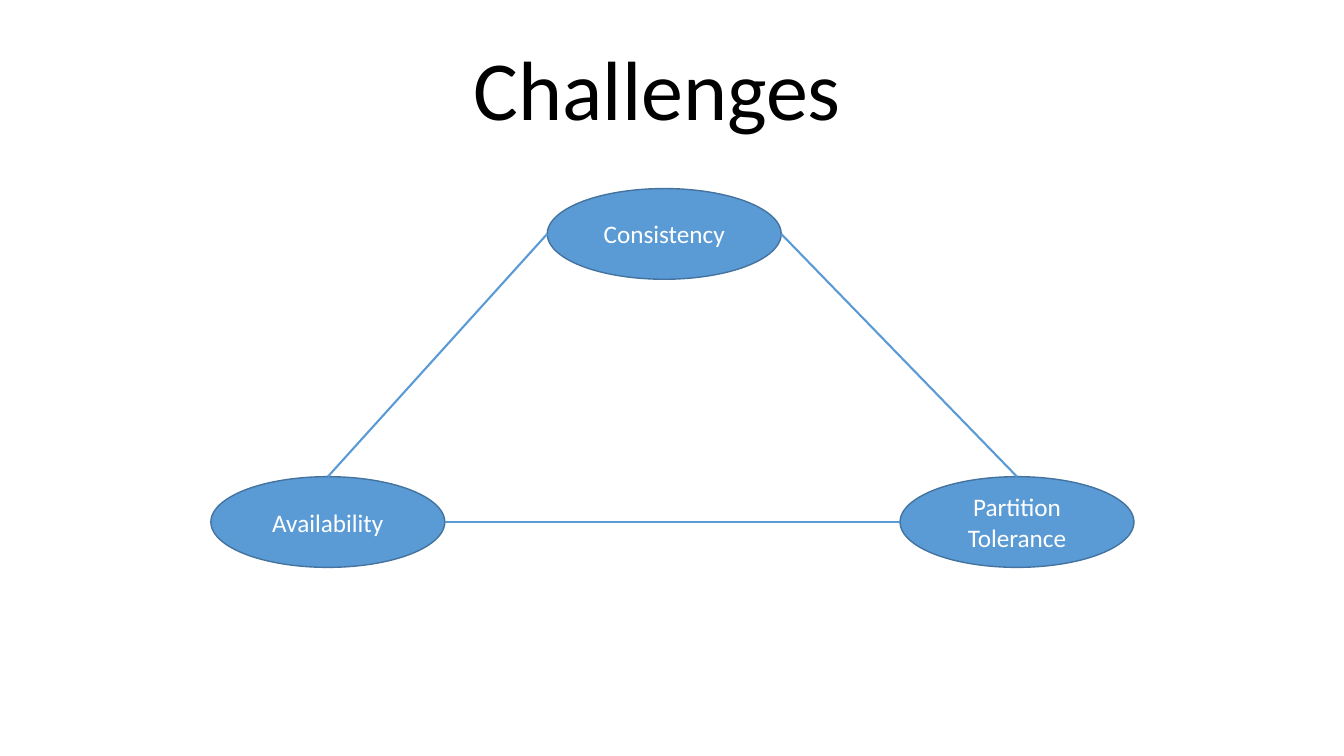
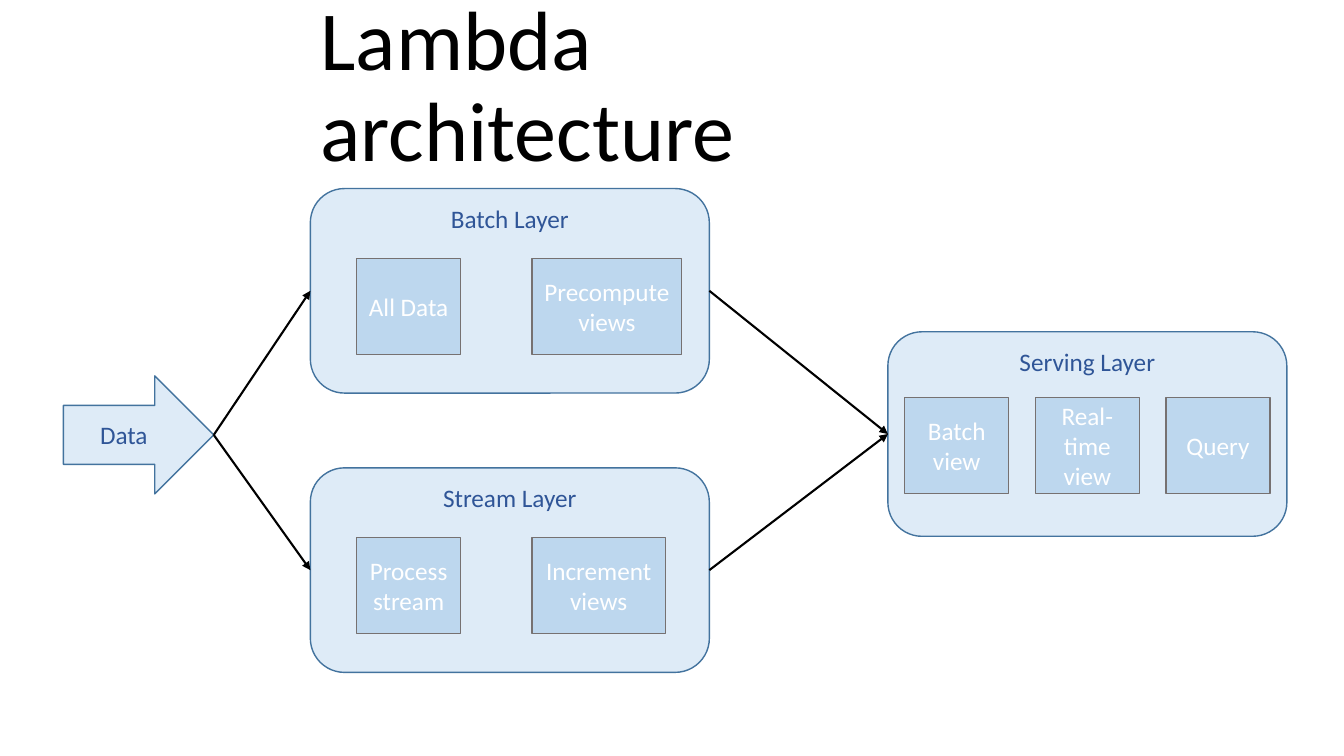
"""Build two slides: the consistency triangle and the lambda architecture."""
import lxml.etree
import pptx
import pptx.dml.color
import pptx.enum.shapes
import pptx.enum.text
import pptx.oxml.ns
import pptx.util

RGBColor = pptx.dml.color.RGBColor
Shape = pptx.enum.shapes.MSO_SHAPE
Anchor = pptx.enum.text.MSO_ANCHOR
Align = pptx.enum.text.PP_ALIGN
Pt = pptx.util.Pt
qn = pptx.oxml.ns.qn

BLACK = RGBColor(0x00, 0x00, 0x00)
WHITE = RGBColor(0xFF, 0xFF, 0xFF)
BLUE = RGBColor(0x5B, 0x9B, 0xD5)
EDGE_BLUE = RGBColor(0x43, 0x73, 0x9E)
PALE_BLUE = RGBColor(0xDE, 0xEB, 0xF7)
SOFT_BLUE = RGBColor(0xBD, 0xD7, 0xEE)
DEEP_BLUE = RGBColor(0x2F, 0x55, 0x97)
GREY = RGBColor(0x76, 0x71, 0x71)

SLIDE_WIDTH = pptx.util.Inches(13.33)
SLIDE_HEIGHT = pptx.util.Inches(7.5)
COLUMN = SLIDE_WIDTH / 32
ROW = SLIDE_HEIGHT / 18

TITLE_ROW = 0.98
TOP_ROW = 4.49
OVAL_SIZE = (5.57, 2.16)
LAYER_SIZE = (9.5, 4.87)
BOX_WIDTH = 2.48
BOX_HEIGHT = 2.29

TITLE_FONT = {"name": "Calibri", "size": Pt(60), "bold": False}
LABEL_FONT = {"name": "Calibri", "size": Pt(18)}
TITLE_FRAME = {
    "word_wrap": True,
    "auto_size": pptx.enum.text.MSO_AUTO_SIZE.NONE,
    "vertical_anchor": Anchor.MIDDLE,
}
TITLE_PARAGRAPH = {"alignment": Align.LEFT, "line_spacing": 0.9}

OVAL = {"preset": Shape.FLOWCHART_CONNECTOR, "fill": BLUE, "edge": EDGE_BLUE,
        "color": WHITE, "anchor": Anchor.MIDDLE}
LAYER = {"preset": Shape.ROUNDED_RECTANGLE, "fill": PALE_BLUE, "edge": EDGE_BLUE,
         "color": DEEP_BLUE, "anchor": Anchor.TOP}
ARROW = {**LAYER, "preset": Shape.RIGHT_ARROW, "anchor": Anchor.MIDDLE}
BOX = {"preset": Shape.RECTANGLE, "fill": SOFT_BLUE, "edge": GREY,
       "color": WHITE, "anchor": Anchor.MIDDLE}

SIDES = {"top": (0, 0.5, 0), "left": (1, 0, 0.5), "right": (3, 1, 0.5)}


def apply_format(target, values):
    """Set each named attribute of the target."""
    for name, value in values.items():
        setattr(target, name, value)


def place(left, top, width, height):
    """Turn grid columns and rows into slide lengths."""
    return (round(left * COLUMN), round(top * ROW),
            round(width * COLUMN), round(height * ROW))


def add_titled_slide(presentation, text, left, width, height):
    """Add a slide whose title placeholder is moved and formatted."""
    slide = presentation.slides.add_slide(presentation.slide_layouts[5])
    title = slide.shapes.title
    bounds = place(left, TITLE_ROW, width, height)
    apply_format(title, dict(zip(("left", "top", "width", "height"), bounds)))
    apply_format(title.text_frame, TITLE_FRAME)
    paragraph = title.text_frame.paragraphs[0]
    paragraph.text = text
    apply_format(paragraph, TITLE_PARAGRAPH)
    apply_format(paragraph.font, TITLE_FONT)
    paragraph.font.color.rgb = BLACK
    return slide


def add_label_shape(slide, text, bounds, style):
    """Add a preset shape with a centred label."""
    shape = slide.shapes.add_shape(style["preset"], *place(*bounds))
    shape.shadow.inherit = False
    shape.fill.solid()
    shape.fill.fore_color.rgb = style["fill"]
    shape.line.color.rgb = style["edge"]
    shape.line.width = Pt(1)
    apply_format(shape.text_frame,
                 {"word_wrap": True, "vertical_anchor": style["anchor"]})
    paragraph = shape.text_frame.paragraphs[0]
    paragraph.text = text
    paragraph.alignment = Align.CENTER
    apply_format(paragraph.font, LABEL_FONT)
    paragraph.font.color.rgb = style["color"]
    return shape


def find_site(shape, side):
    """Return the connection site number and the point on a shape's side."""
    index, across, down = SIDES[side]
    if shape.auto_shape_type == Shape.FLOWCHART_CONNECTOR:
        index *= 2
    return (index, round(shape.left + across * shape.width),
            round(shape.top + down * shape.height))


def join(slide, start, start_side, end, end_side, color, arrowhead=False):
    """Glue a straight connector between the sides of two shapes."""
    start_index, *start_point = find_site(start, start_side)
    end_index, *end_point = find_site(end, end_side)
    connector = slide.shapes.add_connector(
        pptx.enum.shapes.MSO_CONNECTOR.STRAIGHT, *start_point, *end_point)
    connector.line.color.rgb = color
    connector.line.width = Pt(1.5)
    properties = connector.element.spPr
    if arrowhead:
        lxml.etree.SubElement(properties.find(qn("a:ln")), qn("a:tailEnd"),
                              type="triangle")
    lxml.etree.SubElement(properties, qn("a:effectLst"))
    glue = connector.element.find(".//" + qn("p:cNvCxnSpPr"))
    for tag, shape, index in (("a:stCxn", start, start_index),
                              ("a:endCxn", end, end_index)):
        lxml.etree.SubElement(glue, qn(tag), id=str(shape.shape_id), idx=str(index))


def add_layer(slide, text, left, top, box_offset, boxes):
    """Add a layer panel and its row of boxes, offset from its corner."""
    layer = add_label_shape(slide, text, (left, top, *LAYER_SIZE), LAYER)
    for label, offset, width in boxes:
        bounds = (left + offset, top + box_offset, width, BOX_HEIGHT)
        add_label_shape(slide, label, bounds, BOX)
    return layer


def build_challenges(presentation):
    """Draw the triangle of challenges."""
    slide = add_titled_slide(presentation, "Challenges", 11.04, 9.94, 2.47)
    consistency, tolerance, availability = [
        add_label_shape(slide, text, (left, top, *OVAL_SIZE), OVAL)
        for text, left, top in (("Consistency", 13.03, TOP_ROW),
                                ("Partition Tolerance", 21.43, 11.35),
                                ("Availability", 5.02, 11.35))]
    join(slide, availability, "top", consistency, "left", BLUE)
    join(slide, consistency, "right", tolerance, "top", BLUE)
    join(slide, tolerance, "left", availability, "right", BLUE)


def build_architecture(presentation):
    """Draw the data flow through the three layers."""
    slide = add_titled_slide(presentation, "Lambda architecture", 7.39, 17.04, 2.28)
    data = add_label_shape(slide, "Data", (1.51, 8.95, 3.58, 2.81), ARROW)
    batch = add_layer(slide, "Batch Layer", 7.39, TOP_ROW, 1.66, (
        ("All Data", 1.1, BOX_WIDTH), ("Precompute views", 5.28, 3.56)))
    stream = add_layer(slide, "Stream Layer", 7.39, 11.14, 1.66, (
        ("Process stream", 1.1, BOX_WIDTH), ("Increment views", 5.28, 3.17)))
    views = ("Batch view", "Real-time view", "Query")
    serving = add_layer(slide, "Serving Layer", 21.14, 7.9, 1.56, [
        (text, 0.4 + 3.11 * index, BOX_WIDTH) for index, text in enumerate(views)])
    for layer in (batch, stream):
        join(slide, data, "right", layer, "left", BLACK, arrowhead=True)
        join(slide, layer, "right", serving, "left", BLACK, arrowhead=True)


def main():
    """Build and save the presentation."""
    presentation = pptx.Presentation()
    apply_format(presentation,
                 {"slide_width": SLIDE_WIDTH, "slide_height": SLIDE_HEIGHT})
    build_challenges(presentation)
    build_architecture(presentation)
    presentation.save("out.pptx")


if __name__ == "__main__":
    main()
